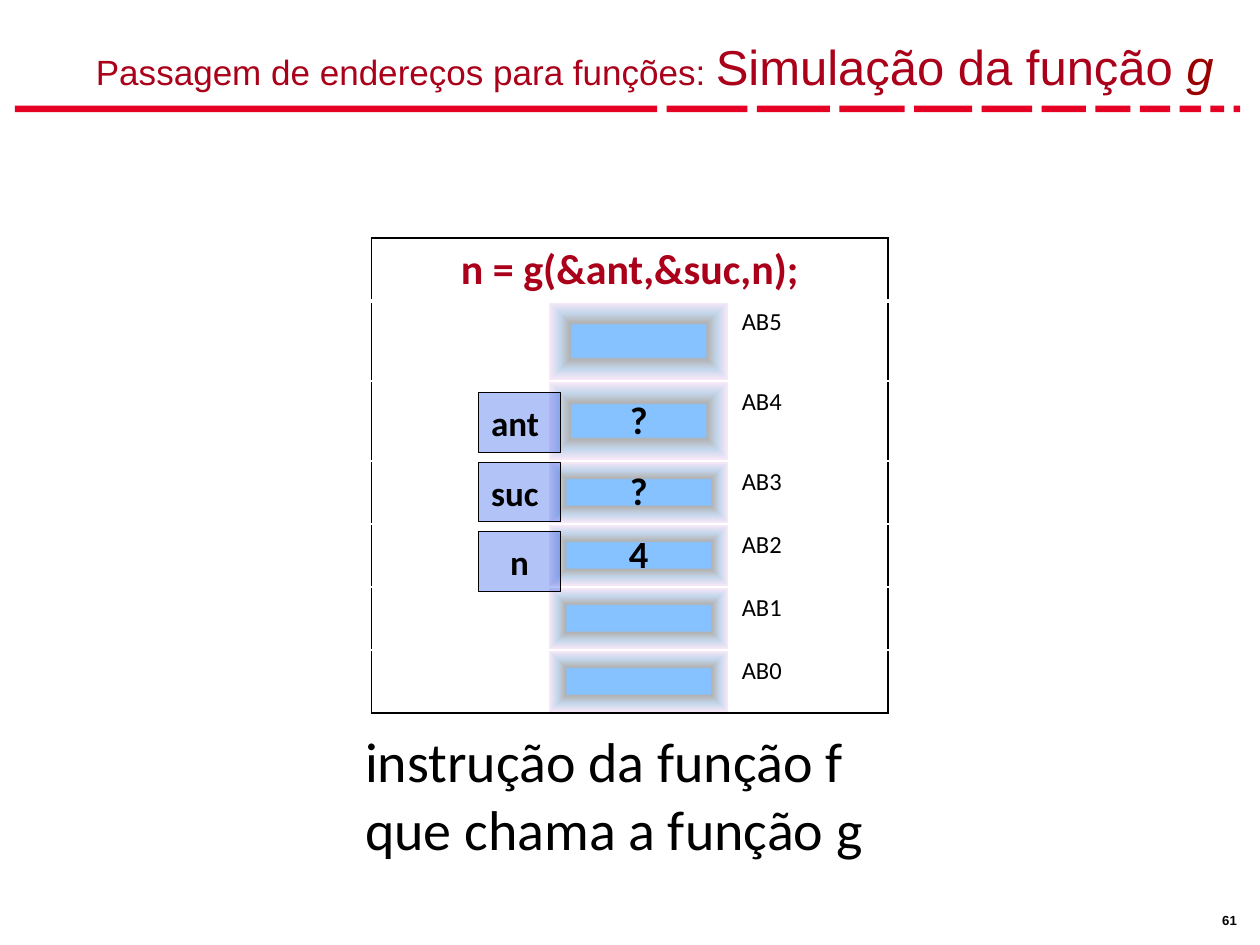
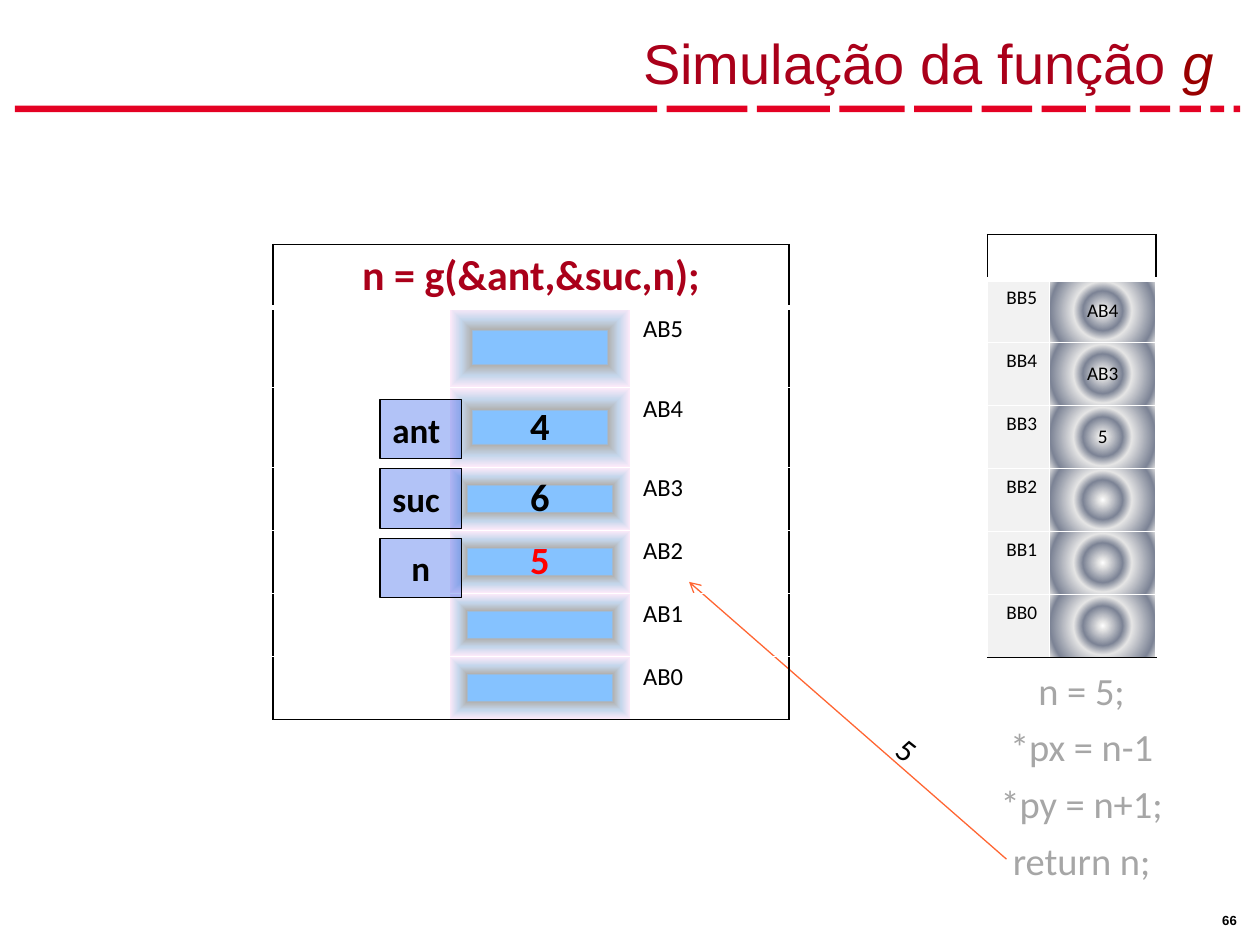
from pptx import Presentation
from pptx.dml.color import RGBColor
from pptx.enum.shapes import MSO_CONNECTOR, MSO_SHAPE
from pptx.enum.text import MSO_ANCHOR, MSO_AUTO_SIZE, PP_ALIGN
from pptx.oxml import parse_xml
from pptx.oxml.ns import nsdecls, qn
from pptx.util import Cm, Pt
from lxml.etree import SubElement

BLACK, WHITE, GREY = "000000", "FFFFFF", "A6A6A6"
RED, DARK_RED, BAR_RED = "AA001A", "990000", "E40123"
TAG_BLUE, ARROW_ORANGE, CHANGED = "0339E7", "FF6633", "FF0000"
LEFT, CENTER, RIGHT = PP_ALIGN.LEFT, PP_ALIGN.CENTER, PP_ALIGN.RIGHT
TOP, MIDDLE = MSO_ANCHOR.TOP, MSO_ANCHOR.MIDDLE

BAR_WIDTHS = [12.95, 1.63, 1.47, 1.32, 1.17, 1.02, 0.89, 0.71, 0.61, 0.43, 0.28, 0.13]
BAR_GAP = 0.19

VALUE_STOPS = [(40, "85C2FF"), (45, "B2B2B2"), (70, "C4D6EB"), (100, "FFEBFA")]
COPY_STOPS = [(0, "FFFFFF"), (7, "E6E6E6"), (32, "7D8496"),
              (47, "E6E6E6"), (85, "7D8496"), (100, "E6E6E6")]
FILLS = {"none": f'<a:noFill {nsdecls("a")}/>',
         "pale": f'<a:solidFill {nsdecls("a")}><a:srgbClr val="F2F2F2"/></a:solidFill>'}
for name, shape_path, stops in [("value", "shape", VALUE_STOPS), ("copy", "circle", COPY_STOPS)]:
    marks = "".join(f'<a:gs pos="{pos * 1000}"><a:srgbClr val="{tone}"/></a:gs>' for pos, tone in stops)
    FILLS[name] = (f'<a:gradFill {nsdecls("a")} rotWithShape="1"><a:gsLst>{marks}</a:gsLst>'
                   f'<a:path path="{shape_path}"><a:fillToRect l="50000" t="50000" r="50000" b="50000"/>'
                   '</a:path></a:gradFill>')


def color(value):
    return RGBColor.from_string(value)


def write(para, text, size, tone=BLACK, bold=False, align=LEFT, font="Calibri"):
    para.text = text
    para.alignment = align
    para.font.name = font
    para.font.size = Pt(size)
    para.font.bold = bold
    para.font.color.rgb = color(tone)


deck = Presentation()
deck.slide_width, deck.slide_height = Cm(25.4), Cm(19.05)

titles = [
    [("Passagem de endereços para funções: ", 20), ("Simulação da função ", 28), ("g", 28)],
    [("Simulação da função ", 32), ("g", 32)],
]
for title_parts in titles:
    page = deck.slides.add_slide(deck.slide_layouts[5])
    bar_left = 0.3
    for bar_width in BAR_WIDTHS:
        bar = page.shapes.add_shape(MSO_SHAPE.RECTANGLE, Cm(bar_left), Cm(2.13), Cm(bar_width), Cm(0.13))
        bar.shadow.inherit = False
        bar.fill.solid()
        bar.fill.fore_color.rgb = color(BAR_RED)
        bar.line.fill.background()
        bar_left += bar_width + BAR_GAP

    title = page.shapes.title
    title.left, title.top, title.width, title.height = Cm(0.79), Cm(0.2), Cm(23.93), Cm(1.85)
    title.text_frame.auto_size = MSO_AUTO_SIZE.NONE
    title.text_frame.vertical_anchor = MSO_ANCHOR.BOTTOM
    para = title.text_frame.paragraphs[0]
    para.alignment = RIGHT
    para.font.name = "Arial"
    for text, size in title_parts:
        span = para.add_run()
        span.text = text
        span.font.name = "Arial"
        span.font.size = Pt(size)
        span.font.color.rgb = color(DARK_RED if text == "g" else RED)
        span.font.italic = text == "g"

call_page, return_page = deck.slides

arrow = return_page.shapes.add_connector(MSO_CONNECTOR.STRAIGHT, Cm(20.29), Cm(17.32), Cm(13.89), Cm(11.73))
arrow.line.color.rgb = color(ARROW_ORANGE)
arrow.line.width = Pt(0.75)
SubElement(arrow.line._get_or_add_ln(), qn("a:tailEnd"), type="arrow")
SubElement(arrow._element.spPr, qn("a:effectLst"))

code_lines = ["n = 5;", "*px = n-1", "*py = n+1;", "return n;"]
notes = [
    (call_page, 24.46, 18.29, 0.84, 0.51, ["61"], 7.5, BLACK, True, LEFT, "Arial", 0, 0),
    (return_page, 24.46, 18.29, 0.84, 0.51, ["66"], 7.5, BLACK, True, LEFT, "Arial", 0, 0),
    (call_page, 7.11, 14.53, 10.92, 3, ["instrução da função f que chama a função g"],
     32, BLACK, False, LEFT, "Calibri", 0, 0),
    (return_page, 19.71, 13.34, 4.19, 4.57, code_lines, 22, GREY, False, CENTER, "Calibri", 6, 0),
    (return_page, 17.88, 14.78, 1.19, 1.02, ["5"], 18, BLACK, False, LEFT, "Calibri", 0, 38.4),
]
for page, left, top, width, height, lines, size, tone, bold, align, font, space, angle in notes:
    box = page.shapes.add_textbox(Cm(left), Cm(top), Cm(width), Cm(height))
    box.rotation = angle
    frame = box.text_frame
    frame.word_wrap = True
    if size < 32:
        frame.margin_left = frame.margin_right = Cm(0.18)
        frame.margin_top = frame.margin_bottom = Cm(0.1)
    for index, line in enumerate(lines):
        para = frame.add_paragraph() if index else frame.paragraphs[0]
        write(para, line, size, tone, bold, align, font)
        para.space_before = Pt(space)

CALL = "n = g(&ant,&suc,n);"
MEMORY_COLUMNS = [(1.78, 18, False, LEFT, TOP, "none"), (1.78, 18, False, LEFT, TOP, "none"),
                  (3.65, 22, True, CENTER, MIDDLE, "value"), (3.2, 14, False, LEFT, TOP, "none")]
STACK_COLUMNS = [(1.25, 11, False, RIGHT, TOP, "pale"), (2.14, 11, False, CENTER, MIDDLE, "copy")]
MEMORY_HEIGHTS = [1.27, 1.61, 1.61] + [1.27] * 4
STACK_HEIGHTS = [0.9] + [1.27] * 6

call_values = ["", "?", "?", "4", "", ""]
return_values = ["", "4", "6", "5", "", ""]
stack_values = ["AB4", "AB3", "5", "", "", ""]
grids = [
    (call_page, 7.49, 4.8, "", CALL, MEMORY_COLUMNS, MEMORY_HEIGHTS, BLACK,
     [["", "", value, f"AB{5 - index}"] for index, value in enumerate(call_values)]),
    (return_page, 19.91, 4.73, "", "", STACK_COLUMNS, STACK_HEIGHTS, WHITE,
     [[f"BB{5 - index}", value] for index, value in enumerate(stack_values)]),
    (return_page, 5.5, 4.93, "", CALL, MEMORY_COLUMNS, MEMORY_HEIGHTS, BLACK,
     [["", "", value, f"AB{5 - index}"] for index, value in enumerate(return_values)]),
]
for page, left, top, blank, heading, columns, heights, side, body in grids:
    last_row, last_column = len(heights) - 1, len(columns) - 1
    table = page.shapes.add_table(
        len(heights), len(columns), Cm(left), Cm(top),
        Cm(sum(column[0] for column in columns)), Cm(sum(heights))).table
    table.first_row = table.horz_banding = False
    for index, column in enumerate(columns):
        table.columns[index].width = Cm(column[0])
    for index, height in enumerate(heights):
        table.rows[index].height = Cm(height)
    table.cell(0, 0).merge(table.cell(0, last_column))

    rows = [[heading] + [blank] * last_column] + body
    for row, texts in enumerate(rows):
        for index, text in enumerate(texts):
            cell = table.cell(row, index)
            width, size, bold, align, anchor, fill = columns[index]
            tone = BLACK
            if row == 0:
                size, bold, align, anchor, fill, tone = 24, True, CENTER, MIDDLE, "none", RED
            if text:
                write(cell.text_frame.paragraphs[0], text, size, tone, bold, align)
            else:
                cell.margin_top = cell.margin_bottom = Cm(0)
            cell.vertical_anchor = anchor
            outer = BLACK if row == 0 else side
            edges = [("L", outer if index == 0 else WHITE, 1),
                     ("R", outer if index == last_column or row == 0 else WHITE, 1),
                     ("T", BLACK if row == 0 else WHITE, 3 if row == 1 else 1),
                     ("B", BLACK if row == last_row else WHITE, 3 if row == 0 else 1)]
            properties = cell._tc.get_or_add_tcPr()
            for edge, edge_tone, points in edges:
                properties.append(parse_xml(
                    f'<a:ln{edge} {nsdecls("a")} w="{Pt(points)}"><a:solidFill>'
                    f'<a:srgbClr val="{edge_tone}"/></a:solidFill></a:ln{edge}>'))
            properties.append(parse_xml(FILLS[fill]))

    if heading:
        for index, (text, align) in enumerate([("ant", LEFT), ("suc", LEFT), ("n", CENTER)]):
            tag = page.shapes.add_shape(MSO_SHAPE.RECTANGLE, Cm(left + 2.16), Cm(top + 3.12 + 1.4 * index),
                                        Cm(1.65), Cm(1.2))
            tag.shadow.inherit = False
            tag.fill.solid()
            tag.fill.fore_color.rgb = color(TAG_BLUE)
            SubElement(tag._element.spPr.find(".//" + qn("a:srgbClr")), qn("a:alpha"), val="30000")
            tag.line.color.rgb = color(BLACK)
            tag.line.width = Pt(0.75)
            tag.text_frame.vertical_anchor = MIDDLE
            write(tag.text_frame.paragraphs[0], text, 20, BLACK, True, align)

returned_value = table.cell(4, 2)
returned_value.text_frame.paragraphs[0].font.color.rgb = color(CHANGED)

deck.save("out.pptx")
